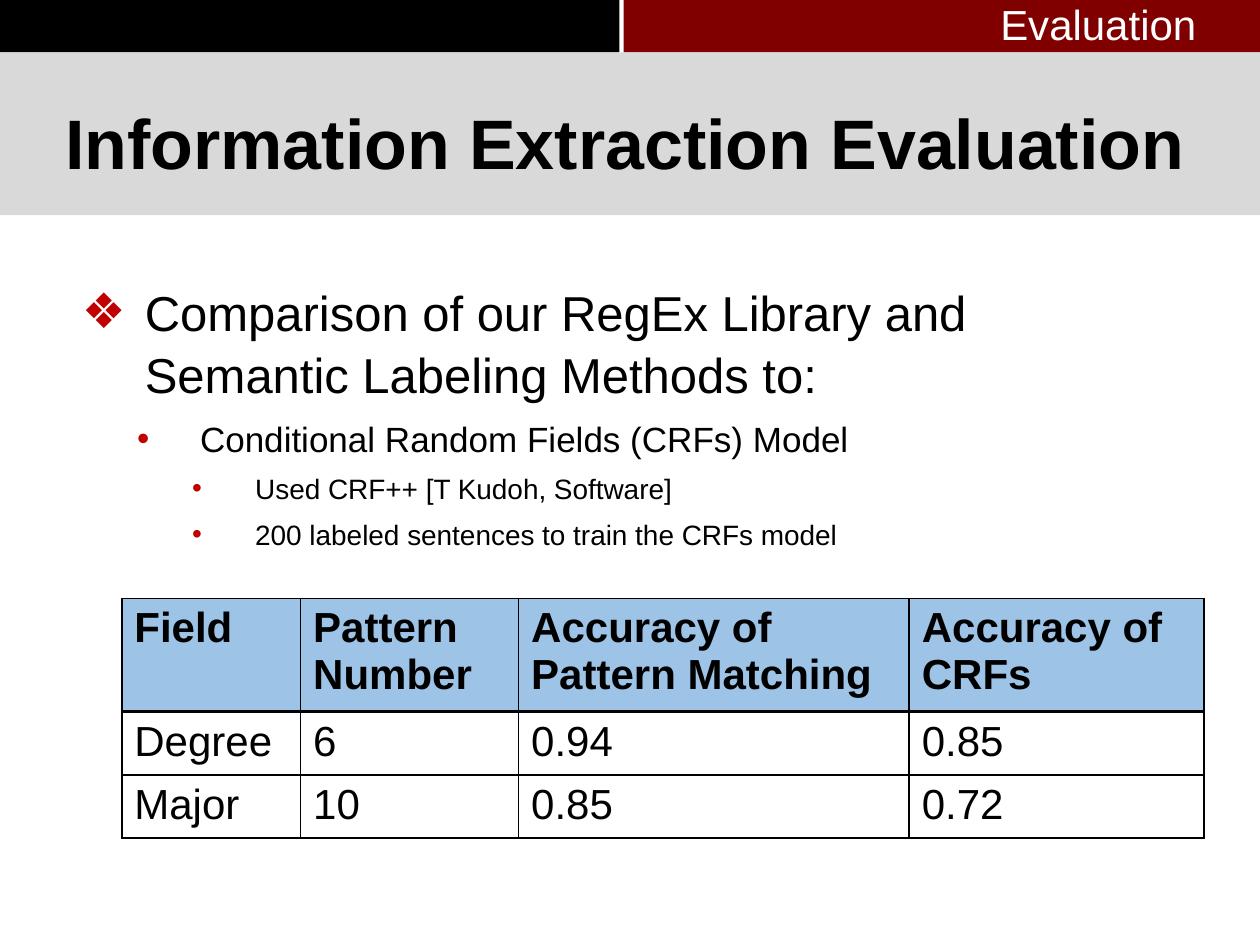
"""Build the information extraction evaluation slide."""
from dataclasses import dataclass

from lxml import etree
from pptx import Presentation
from pptx import util as u
from pptx.dml import color
from pptx.enum import shapes, text
from pptx.oxml import ns

BLACK, WHITE, RED = "000000", "FFFFFF", "C00000"


@dataclass
class Bar:
    left: float
    top: float
    width: float
    height: float
    fill: str


@dataclass
class Bullet:
    words: str
    level: int
    size: int
    before: int
    mark: str = "•"


BARS = [
    Bar(0, 0, 354, 30, BLACK),
    Bar(356.4, 0, 363.6, 30, "800000"),
    Bar(0, 30, 720, 93, "D9D9D9"),
]
BULLETS = [
    Bullet("Comparison of our RegEx Library and Semantic Labeling Methods to:", 0, 28, 8, "❖"),
    Bullet("Conditional Random Fields (CRFs) Model", 1, 20, 7),
    Bullet("Used CRF++ [T Kudoh, Software]", 2, 16, 6),
    Bullet("200 labeled sentences to train the CRFs model", 2, 16, 6),
]
COLUMNS = [102.2, 124.6, 223.2, 168.5]
ROWS = [64.6, 36, 36]
CELLS = [
    ["Field", "Pattern\nNumber", "Accuracy of Pattern Matching", "Accuracy of CRFs"],
    ["Degree", "6", "0.94", "0.85"],
    ["Major", "10", "0.85", "0.72"],
]


def rgb(value: str) -> color.RGBColor:
    return color.RGBColor.from_string(value)


def place(item, left: float, top: float, width: float, height: float) -> None:
    item.left, item.top = u.Pt(left), u.Pt(top)
    item.width, item.height = u.Pt(width), u.Pt(height)


def write(para, words: str, *, size: float, ink: str = BLACK, bold: bool = False) -> None:
    span = para.add_run()
    span.text = words
    span.font.name, span.font.size, span.font.bold = "Arial", u.Pt(size), bold
    span.font.color.rgb = rgb(ink)
    para.alignment = text.PP_ALIGN.LEFT


def next_para(frame, index: int):
    return frame.add_paragraph() if index else frame.paragraphs[0]


def draw_bar(page, bar: Bar) -> None:
    box = page.shapes.add_shape(
        shapes.MSO_SHAPE.RECTANGLE,
        u.Pt(bar.left), u.Pt(bar.top), u.Pt(bar.width), u.Pt(bar.height))
    box.shadow.inherit = False
    box.fill.solid()
    box.fill.fore_color.rgb = rgb(bar.fill)
    box.line.fill.background()
    page.shapes.title.element.addprevious(box.element)


def draw_bullet(para, bullet: Bullet) -> None:
    para.level = bullet.level
    para.space_before, para.line_spacing = u.Pt(bullet.before), 1.05
    write(para, bullet.words, size=bullet.size)
    props = para._p.get_or_add_pPr()
    props.set("marL", str(u.Pt(36 + 31.5 * bullet.level)))
    props.set("indent", str(u.Pt(-36)))
    tint = etree.SubElement(props, ns.qn("a:buClr"))
    etree.SubElement(tint, ns.qn("a:srgbClr"), val=RED)
    etree.SubElement(props, ns.qn("a:buFont"), typeface="Arial")
    etree.SubElement(props, ns.qn("a:buChar"), char=bullet.mark)


def set_borders(cell, top: float, bottom: float) -> None:
    props = cell._tc.get_or_add_tcPr()
    for side, width in {"L": 1, "R": 1, "T": top, "B": bottom}.items():
        line = etree.SubElement(props, ns.qn(f"a:ln{side}"), w=str(u.Pt(width)))
        fill = etree.SubElement(line, ns.qn("a:solidFill"))
        etree.SubElement(fill, ns.qn("a:srgbClr"), val=BLACK)


def fill_cell(cell, words: str, row: int) -> None:
    set_borders(cell, top=2 if row == 1 else 1, bottom=2 if row == 0 else 1)
    if row == 0:
        cell.fill.solid()
        cell.fill.fore_color.rgb = rgb("9DC3E6")
    else:
        cell.fill.background()
    for index, part in enumerate(words.split("\n")):
        write(next_para(cell.text_frame, index), part, size=24, bold=row == 0)


def draw_table(page) -> None:
    table = page.shapes.add_table(
        len(ROWS), len(COLUMNS), u.Pt(69.6), u.Pt(342),
        u.Pt(sum(COLUMNS)), u.Pt(sum(ROWS))).table
    for column, width in zip(table.columns, COLUMNS):
        column.width = u.Pt(width)
    for row, height in enumerate(ROWS):
        table.rows[row].height = u.Pt(height)
        for column, words in enumerate(CELLS[row]):
            fill_cell(table.cell(row, column), words, row)


def main() -> None:
    deck = Presentation()
    deck.slide_width, deck.slide_height = u.Pt(720), u.Pt(540)
    page = deck.slides.add_slide(deck.slide_layouts[1])
    for bar in BARS:
        draw_bar(page, bar)

    title, body = page.shapes.title, page.placeholders[1]
    place(title, 30.2, 41.8, 671.8, 78.5)
    place(body, 39.6, 156.2, 638.6, 180)
    for holder in (title, body):
        holder.text_frame.auto_size = text.MSO_AUTO_SIZE.NONE
    title.text_frame.vertical_anchor = text.MSO_ANCHOR.MIDDLE
    write(title.text_frame.paragraphs[0], "Information Extraction Evaluation", size=40, bold=True)
    for index, bullet in enumerate(BULLETS):
        draw_bullet(next_para(body.text_frame, index), bullet)

    label = page.shapes.add_textbox(u.Pt(564.5), u.Pt(-4.3), u.Pt(128.2), u.Pt(36))
    label.text_frame.word_wrap = False
    label.text_frame.auto_size = text.MSO_AUTO_SIZE.SHAPE_TO_FIT_TEXT
    write(label.text_frame.paragraphs[0], "Evaluation", size=24, ink=WHITE)
    draw_table(page)
    deck.save("out.pptx")


if __name__ == "__main__":
    main()
